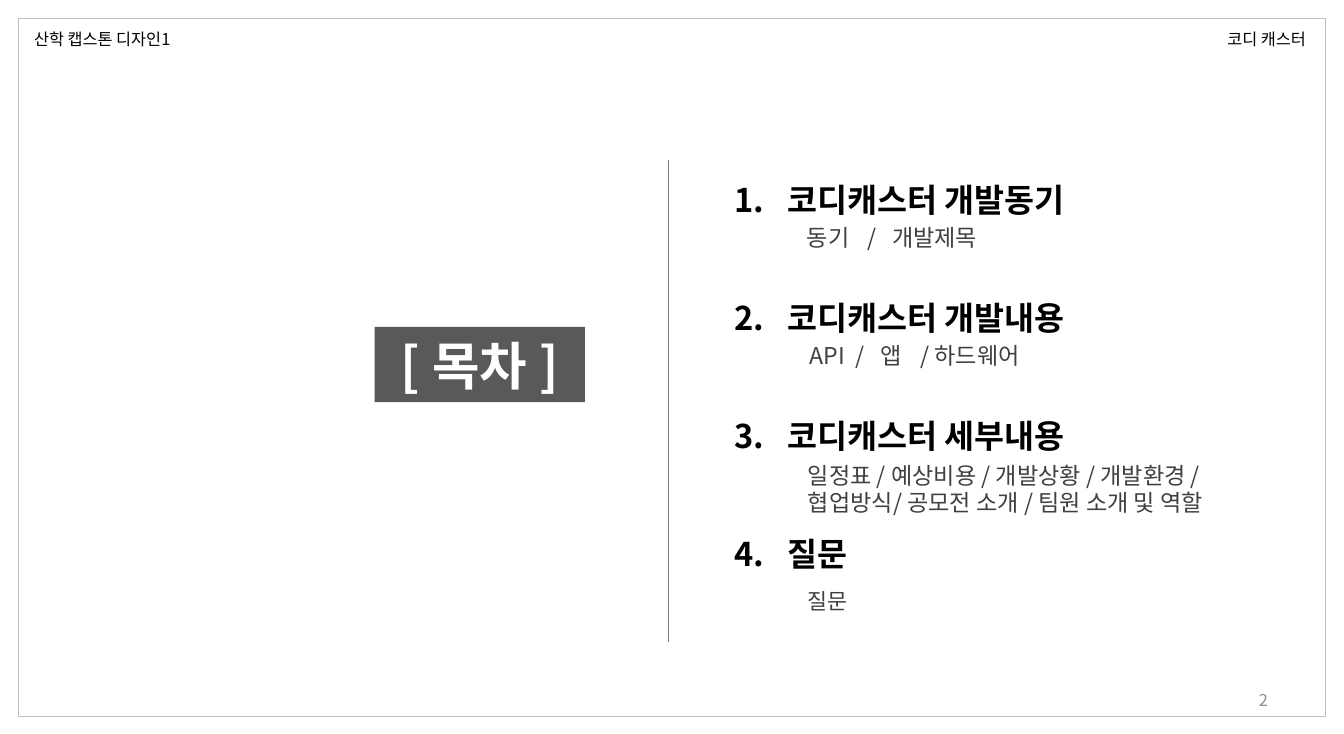
from pptx import Presentation
from pptx.dml.color import RGBColor
from pptx.enum.dml import MSO_LINE
from pptx.enum.shapes import MSO_CONNECTOR, MSO_SHAPE
from pptx.enum.text import MSO_ANCHOR, PP_ALIGN
from pptx.oxml.ns import qn
from pptx.util import Inches, Pt
from lxml.etree import SubElement as Sub

FACE = "Noto Sans CJK KR"
HUES = {"frame": "BFBFBF", "band": "595959", "rule": "808080", "white": "FFFFFF",
        "black": "000000", "sub": "404040", "page": "8C8C8C"}
STYLES = {
    "title": ({"size": Pt(38), "bold": True}, "white"),
    "head": ({"size": Pt(24), "bold": True}, "black"),
    "sub": ({"size": Pt(17), "bold": False}, "sub"),
    "last": ({"size": Pt(16), "bold": False}, "sub"),
    "label": ({"size": Pt(12), "bold": False}, "black"),
    "page": ({"size": Pt(12), "bold": False}, "page"),
}
HEADS = ["코디캐스터 개발동기", "코디캐스터 개발내용", "코디캐스터 세부내용", "질문"]
SUBS = [
    ("동기\t/\t개발제목", (8.12, 2.22, 2.06, 0.4), "sub", (0.62, 0.87)),
    ("API\t/\t앱\t/ 하드웨어", (8.15, 3.43, 2.57, 0.4), "sub", (0.47, 0.72, 1.13)),
    ("일정표 / 예상비용 / 개발상황 / 개발환경 / 협업방식/ 공모전 소개 / 팀원 소개 및 역할",
     (8.13, 4.65, 5, 0.7), "sub", ()),
    ("질문", (8.13, 5.95, 0.69, 0.4), "last", ()),
]
LABELS = [("코디 캐스터", (12.45, 0.25, 1.23, 0.3)),
          ("산학 캡스톤 디자인1", (0.25, 0.25, 2.2, 0.3))]


def hue(name):
    return RGBColor.from_string(HUES[name])


def write(para, text, style):
    run = para.add_run()
    run.text = text
    form, tint = STYLES[style]
    for key, value in form.items():
        setattr(run.font, key, value)
    run.font.color.rgb = hue(tint)
    run.font.name = FACE
    Sub(run.font._element, qn("a:ea"), typeface=FACE)


def inset(frame, side, edge):
    frame.margin_left = frame.margin_right = Inches(side)
    frame.margin_top = frame.margin_bottom = Inches(edge)


def add_box(slide, spot, side=0.1, edge=0.05):
    frame = slide.shapes.add_textbox(*map(Inches, spot)).text_frame
    frame.word_wrap = True
    inset(frame, side, edge)
    return frame


def add_frame(slide):
    frame = slide.shapes.add_shape(MSO_SHAPE.RECTANGLE, *map(Inches, (0.19, 0.19, 13.36, 7.13)))
    frame.shadow.inherit = False
    frame.fill.background()
    frame.line.color.rgb = hue("frame")
    frame.line.width = Pt(1)


def add_title(slide):
    title = slide.shapes.title
    title.left, title.top, title.width, title.height = map(Inches, (3.83, 3.34, 2.15, 0.77))
    title.fill.solid()
    title.fill.fore_color.rgb = hue("band")
    frame = title.text_frame
    frame.word_wrap = False
    frame.vertical_anchor = MSO_ANCHOR.MIDDLE
    inset(frame, 0.13, 0.06)
    para = frame.paragraphs[0]
    para.alignment = PP_ALIGN.CENTER
    para.line_spacing = 1.0
    write(para, "[ 목차 ]", "title")


def add_rule(slide):
    rule = slide.shapes.add_connector(MSO_CONNECTOR.STRAIGHT, *map(Inches, (6.83, 1.63, 6.83, 6.55)))
    rule.line.color.rgb = hue("rule")
    rule.line.width = Pt(0.25)
    rule.line.dash_style = MSO_LINE.ROUND_DOT
    Sub(rule._element.spPr, qn("a:effectLst"))


def add_heads(slide):
    frame = add_box(slide, (7.38, 1.78, 6.1, 4.57), 0.13, 0.06)
    for i, head in enumerate(HEADS):
        para = frame.add_paragraph() if i else frame.paragraphs[0]
        if i:
            para.space_before = Pt(58)
        props = para._p.get_or_add_pPr()
        props.set("marL", str(Inches(0.54)))
        props.set("indent", str(-Inches(0.54)))
        Sub(props, qn("a:buFont"), typeface=FACE)
        Sub(props, qn("a:buAutoNum"), type="arabicPeriod")
        write(para, head, "head")


def add_sub(slide, text, spot, style, stops):
    para = add_box(slide, spot, 0.13, 0.06).paragraphs[0]
    if stops:
        tabs = Sub(para._p.get_or_add_pPr(), qn("a:tabLst"))
        for stop in stops:
            Sub(tabs, qn("a:tab"), pos=str(Inches(stop)), algn="l")
    write(para, text, style)


def add_page(slide):
    frame = add_box(slide, (9.85, 6.95, 3.21, 0.4))
    frame.vertical_anchor = MSO_ANCHOR.MIDDLE
    frame.paragraphs[0].alignment = PP_ALIGN.RIGHT
    write(frame.paragraphs[0], "2", "page")


def main():
    deck = Presentation()
    deck.slide_width, deck.slide_height = Inches(13.74), Inches(7.5)
    slide = deck.slides.add_slide(deck.slide_layouts[5])
    add_frame(slide)
    add_title(slide)
    add_rule(slide)
    add_heads(slide)
    for sub in SUBS:
        add_sub(slide, *sub)
    for text, spot in LABELS:
        write(add_box(slide, spot).paragraphs[0], text, "label")
    add_page(slide)
    deck.save("out.pptx")


if __name__ == "__main__":
    main()
